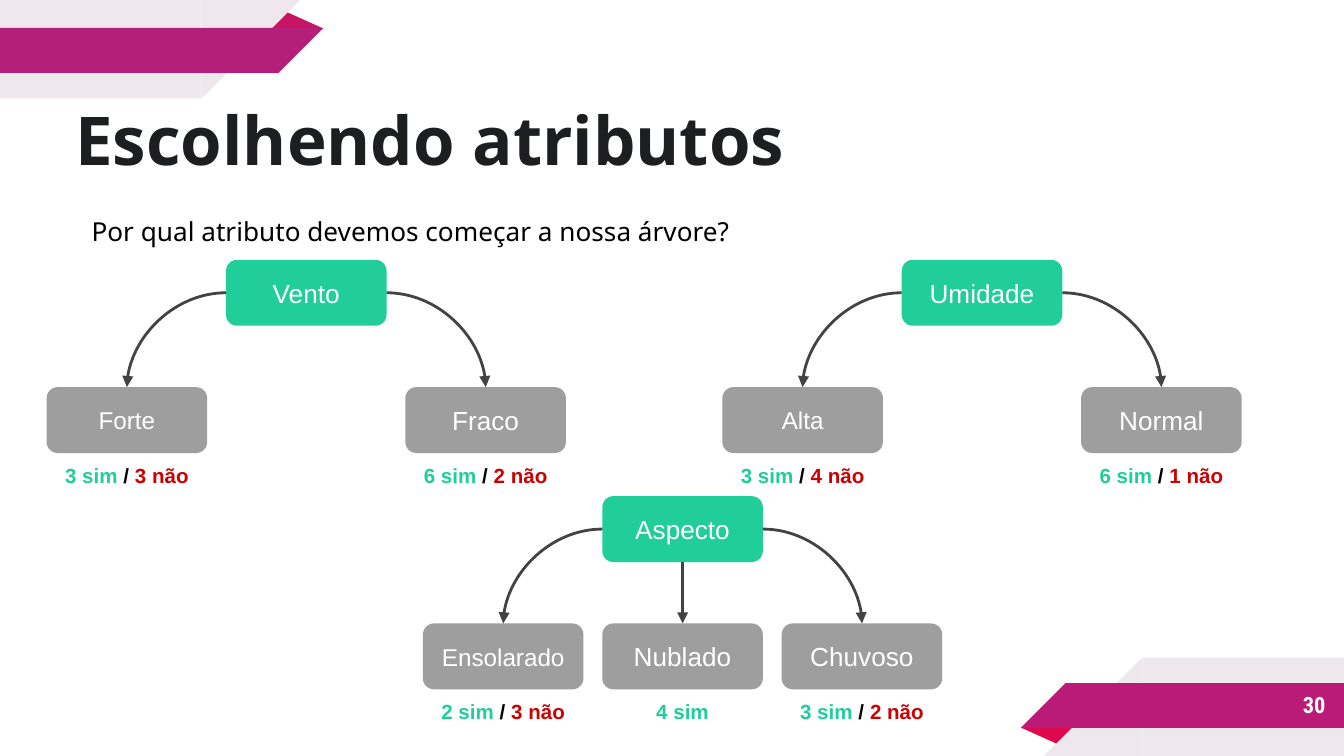
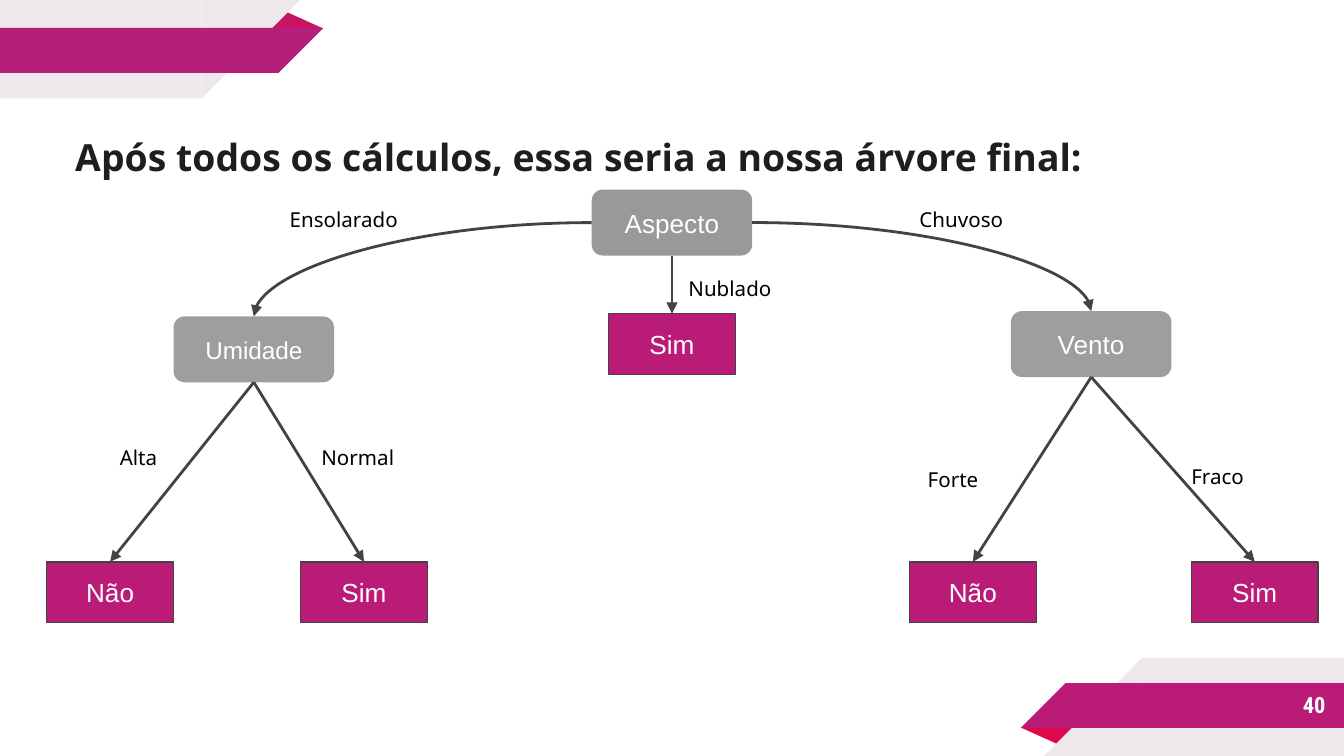
from lxml import etree
from pptx import Presentation
from pptx.dml.color import RGBColor
from pptx.enum import shapes as sh, text as tx
from pptx.oxml import ns
from pptx.util import Pt

WIDE, HIGH = 720, 405
NODE = 86, 35.3
LEAF = 68, 32.6
STEP, DROP = 96.1, 68.2
INSET = 5.2
SANS, ARIAL, ROBOTO = "Noto Sans", "Arial", "Roboto Condensed"
WHITE = RGBColor(0xFF, 0xFF, 0xFF)
BLACK = RGBColor(0, 0, 0)
INK = RGBColor(0x1C, 0x1E, 0x20)
PALE = RGBColor(0xEE, 0xE7, 0xEB)
ROSE = RGBColor(0xC7, 0x15, 0x63)
RED = RGBColor(0xDE, 0x09, 0x4C)
PLUM = RGBColor(0xB4, 0x1F, 0x79)
PINK = RGBColor(0xBA, 0x1B, 0x77)
GREEN = RGBColor(0x21, 0xCE, 0x99)
GRAY = RGBColor(0x9E, 0x9E, 0x9E)
STONE = RGBColor(0x99, 0x99, 0x99)
DARK = RGBColor(0x43, 0x43, 0x43)
BLOOD = RGBColor(0xCC, 0, 0)
KIND = sh.MSO_SHAPE
LEFT, MID, RIGHT = tx.PP_ALIGN.LEFT, tx.PP_ALIGN.CENTER, tx.PP_ALIGN.RIGHT
TOP, CENTER, BASE = tx.MSO_ANCHOR.TOP, tx.MSO_ANCHOR.MIDDLE, tx.MSO_ANCHOR.BOTTOM


def points(box):
    return [Pt(round(n, 2)) for n in box]


def style(run, face, size, color, bold=False):
    font = run.font
    font.name, font.size, font.bold = face, Pt(size), bold
    font.color.rgb = color


def frame(shape, align, anchor, inset):
    body = shape.text_frame
    body.word_wrap = True
    body.auto_size = tx.MSO_AUTO_SIZE.NONE
    body.vertical_anchor = anchor
    body.margin_left = body.margin_right = Pt(inset)
    body.margin_top = body.margin_bottom = Pt(inset)
    body.paragraphs[0].alignment = align
    return body


def write(shape, words, face, size, color, bold=False,
          align=LEFT, anchor=TOP, inset=INSET):
    shape.text_frame.text = words
    body = frame(shape, align, anchor, inset)
    style(body.paragraphs[0].runs[0], face, size, color, bold)
    return body


def label(slide, box, words, size=11):
    shape = slide.shapes.add_textbox(*points(box))
    return write(shape, words, SANS, size, BLACK)


def block(slide, kind, box, color, edge=None):
    shape = slide.shapes.add_shape(kind, *points(box))
    shape.shadow.inherit = False
    shape.fill.solid()
    shape.fill.fore_color.rgb = color
    if edge is None:
        shape.line.fill.background()
    else:
        shape.line.color.rgb = edge
        shape.line.width = Pt(0.75)
    return shape


def node(slide, x, y, words, color=GRAY, size=14):
    box = x, y, *NODE
    shape = block(slide, KIND.ROUNDED_RECTANGLE, box, color)
    write(shape, words, ARIAL, size, WHITE, align=MID, anchor=CENTER)
    return box


def leaf(slide, x, y, words):
    box = x, y, *LEAF
    shape = block(slide, KIND.RECTANGLE, box, PINK, DARK)
    write(shape, words, ARIAL, 14, WHITE, align=MID, anchor=CENTER)
    return box


def arrow(slide, start, end, curved=False):
    kind = sh.MSO_CONNECTOR.CURVE if curved else sh.MSO_CONNECTOR.STRAIGHT
    link = slide.shapes.add_connector(kind, *points(start + end))
    link.line.color.rgb = DARK
    link.line.width = Pt(1.5)
    prop = link._element.spPr
    if curved:
        prop.find(ns.qn("a:prstGeom")).set("prst", "curvedConnector2")
    etree.SubElement(prop.find(ns.qn("a:ln")), ns.qn("a:tailEnd"), type="triangle")
    etree.SubElement(prop, ns.qn("a:effectLst"))


def head(box):
    return box[0] + box[2] / 2, box[1]


def foot(box):
    return box[0] + box[2] / 2, box[1] + box[3]


def side(box, right):
    return box[0] + box[2] * right, box[1] + box[3] / 2


def bend(slide, root, child):
    arrow(slide, side(root, child[0] > root[0]), head(child), True)


def corner(slide, tip, band, turn=False):
    parts = [
        (KIND.ISOSCELES_TRIANGLE, (142.4, 5.8, 30.6, 9.4), tip),
        (KIND.RECTANGLE, (0, 0, 108, 52.7), PALE),
        (KIND.RIGHT_TRIANGLE, (108, 0, 52.7, 52.7), PALE),
        (KIND.RECTANGLE, (0, 15, 149.4, 24), band),
        (KIND.RIGHT_TRIANGLE, (149.2, 15, 24, 24), band),
    ]
    for kind, (x, y, w, h), color in parts:
        if turn:
            x, y = WIDE - x - w, HIGH - y - h
        shape = block(slide, kind, (x, y, w, h), color)
        if kind == KIND.ISOSCELES_TRIANGLE:
            shape.adjustments[0] = 0.32
            shape.rotation = 180 if turn else 0
        elif kind == KIND.RIGHT_TRIANGLE:
            shape._element.spPr.get_or_add_xfrm().set("flipH", "1")
            shape.rotation = 0 if turn else 180


def page(deck, words, size, wide, number):
    slide = deck.slides.add_slide(deck.slide_layouts[5])
    corner(slide, ROSE, PLUM)
    corner(slide, RED, PINK, True)
    title = slide.shapes.title
    title.left, title.top, title.width, title.height = points((40.3, 26, wide, 69.8))
    write(title, words, SANS, size, INK, True, anchor=BASE, inset=0)
    count = slide.shapes.add_textbox(*points((599.8, 365, 117.4, 25.2)))
    write(count, str(number), ROBOTO, 12, WHITE, True, RIGHT, CENTER, 7.2)
    return slide


def tally(slide, x, y, yes, no):
    shape = slide.shapes.add_textbox(*points((x, y, NODE[0], 23.8)))
    line = frame(shape, MID, TOP, INSET).paragraphs[0]
    parts = [(f"{yes} sim", GREEN)]
    if no:
        parts += [(" / ", BLACK), (f"{no} não", BLOOD)]
    for words, color in parts:
        run = line.add_run()
        run.text = words
        style(run, ARIAL, 11, color, True)


def tree(slide, x, y, words, kids):
    root = node(slide, x + STEP, y, words, GREEN)
    for col, name, size, yes, no in kids:
        child = node(slide, x + col * STEP, y + DROP, name, GRAY, size)
        if col == 1:
            arrow(slide, foot(root), head(child))
        else:
            bend(slide, root, child)
        tally(slide, child[0], foot(child)[1], yes, no)


def choice(deck):
    slide = page(deck, "Escolhendo atributos", 36, 650, 30)
    body = label(slide, (40.3, 110.2, 414.7, 38.9),
                 "Por qual atributo devemos começar a nossa árvore?", 14)
    body.margin_left = Pt(8.8)
    tree(slide, 25, 139.2, "Vento",
         [(0, "Forte", 13, 3, 3), (2, "Fraco", 14, 6, 2)])
    tree(slide, 387, 139.2, "Umidade",
         [(0, "Alta", 13, 3, 4), (2, "Normal", 14, 6, 1)])
    tree(slide, 226.6, 265.8, "Aspecto",
         [(0, "Ensolarado", 13, 2, 3), (1, "Nublado", 14, 4, 0),
          (2, "Chuvoso", 14, 3, 2)])


def branch(slide, root, x, y, words, size, ends):
    box = node(slide, x, y, words, size=size)
    bend(slide, root, box)
    for left, name in ends:
        arrow(slide, foot(box), head(leaf(slide, left, 301, name)))


def result(deck):
    slide = page(deck, "Após todos os cálculos, essa seria a nossa árvore final:",
                 20, 562.3, 40)
    root = node(slide, 317, 101.6, "Aspecto", STONE)
    arrow(slide, foot(root), head(leaf(slide, 326, 168, "Sim")))
    branch(slide, root, 93, 169.5, "Umidade", 13, [(25, "Não"), (161, "Sim")])
    branch(slide, root, 541.6, 166.7, "Vento", 14, [(487.2, "Não"), (638.2, "Sim")])
    for x, y, wide, words in [
        (150, 105.8, 79, "Ensolarado"),
        (363.6, 142.6, 79, "Nublado"),
        (487.4, 105.8, 68, "Chuvoso"),
        (59, 233.3, 34, "Alta"),
        (167, 233.3, 79, "Normal"),
        (491.8, 245, 47, "Forte"),
        (633, 243.4, 79, "Fraco"),
    ]:
        label(slide, (x, y, wide, 16.6), words)


def main():
    deck = Presentation()
    deck.slide_width, deck.slide_height = Pt(WIDE), Pt(HIGH)
    choice(deck)
    result(deck)
    deck.save("out.pptx")


if __name__ == "__main__":
    main()
